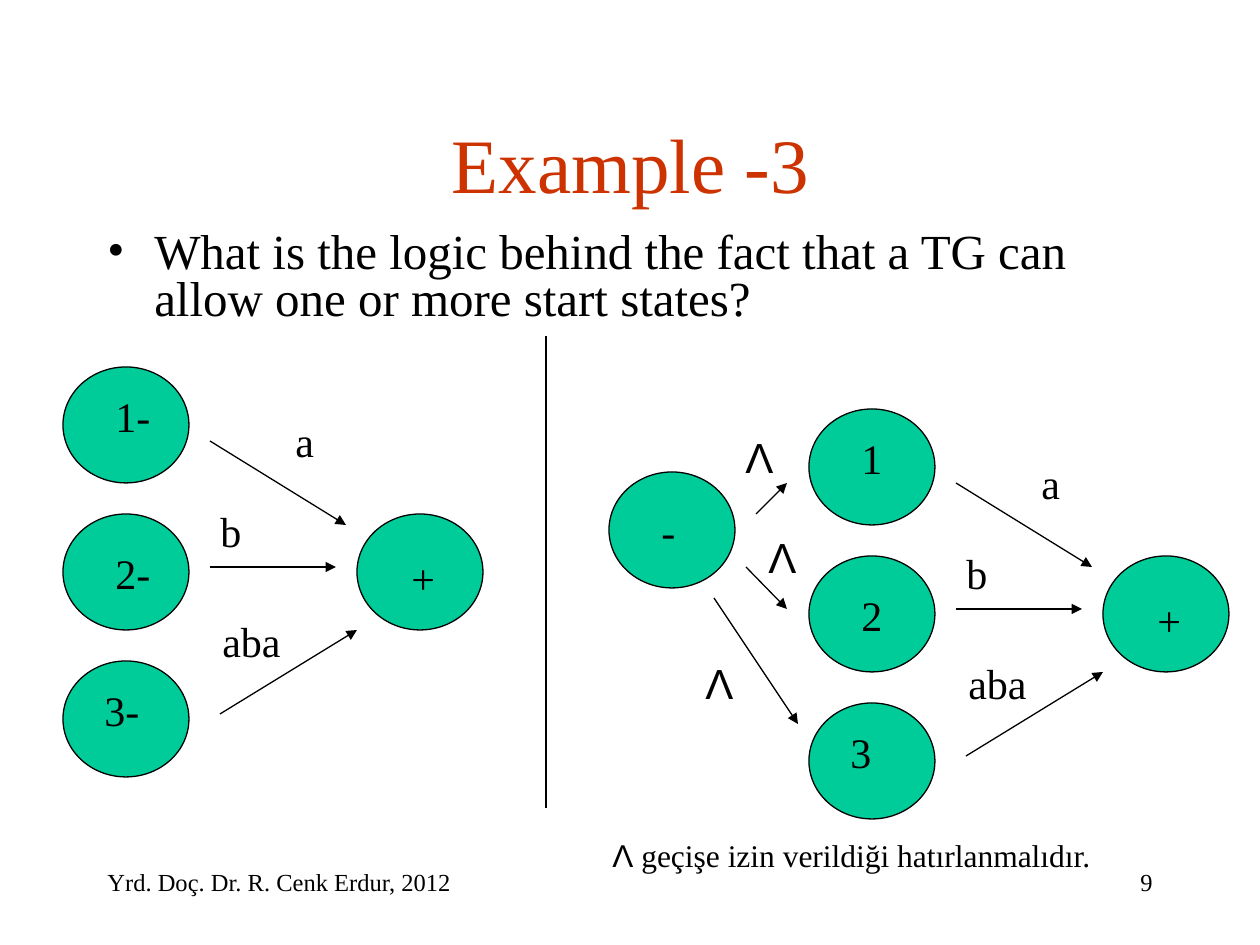
from dataclasses import dataclass

import pptx
import pptx.dml.color
import pptx.enum.shapes
import pptx.enum.text
import pptx.oxml.ns
import pptx.util
from lxml import etree

RGBColor = pptx.dml.color.RGBColor
PP_ALIGN = pptx.enum.text.PP_ALIGN

BLACK = RGBColor(0x00, 0x00, 0x00)
GREEN = RGBColor(0x00, 0xCC, 0x99)
RED = RGBColor(0xCC, 0x33, 0x00)
SERIF = "Times New Roman"
SANS = "Arial"
PX_PER_INCH = 126
STATE_W, STATE_H = 126, 116
LABEL_H = 63


@dataclass(frozen=True)
class State:
    x: int
    y: int


@dataclass(frozen=True)
class Edge:
    x1: int
    y1: int
    x2: int
    y2: int
    arrow: bool = True


@dataclass(frozen=True)
class Label:
    text: str
    x: int
    y: int
    w: int
    font: str = SERIF


def px(n: int) -> pptx.util.Emu:
    return pptx.util.Emu(round(n * 914400 / PX_PER_INCH))


def add_run(p, text: str, size: int, font: str = SERIF, color: RGBColor = BLACK) -> None:
    r = p.add_run()
    r.text = text
    r.font.size = pptx.util.Pt(size)
    r.font.name = font
    r.font.color.rgb = color


def add_text(s, x: int, y: int, w: int, h: int, wrap: bool = True):
    tf = s.shapes.add_textbox(px(x), px(y), px(w), px(h)).text_frame
    tf.word_wrap = wrap
    if not wrap:
        tf.auto_size = pptx.enum.text.MSO_AUTO_SIZE.SHAPE_TO_FIT_TEXT
    return tf.paragraphs[0]


def add_label(s, label: Label) -> None:
    p = add_text(s, label.x, label.y, label.w, LABEL_H, wrap=False)
    add_run(p, label.text, 24, label.font)


def add_state(s, state: State) -> None:
    sp = s.shapes.add_shape(pptx.enum.shapes.MSO_SHAPE.OVAL,
                            px(state.x), px(state.y), px(STATE_W), px(STATE_H))
    sp.shadow.inherit = False
    sp.fill.solid()
    sp.fill.fore_color.rgb = GREEN
    sp.line.color.rgb = BLACK
    sp.line.width = pptx.util.Pt(0.75)


def add_edge(s, edge: Edge) -> None:
    sp = s.shapes.add_connector(pptx.enum.shapes.MSO_CONNECTOR.STRAIGHT,
                                px(edge.x1), px(edge.y1), px(edge.x2), px(edge.y2))
    sp.line.color.rgb = BLACK
    sp.line.width = pptx.util.Pt(0.75)
    qn = pptx.oxml.ns.qn
    props = sp._element.spPr
    if edge.arrow:
        etree.SubElement(props.find(qn("a:ln")), qn("a:tailEnd"), type="triangle")
    etree.SubElement(props, qn("a:effectLst"))


def add_graph(s, dx: int, dy: int, suffix: str) -> None:
    for x, y in ((63, 367), (63, 514), (63, 661), (357, 514)):
        add_state(s, State(x + dx, y + dy))
    for x1, y1, x2, y2 in ((210, 441, 346, 525), (210, 567, 336, 567), (220, 714, 357, 630)):
        add_edge(s, Edge(x1 + dx, y1 + dy, x2 + dx, y2 + dy))
    state_w = 61 if suffix else 46
    for text, x, y, w in (
        ("1" + suffix, 103, 384, state_w),
        ("2" + suffix, 103, 541, state_w),
        ("3" + suffix, 92, 678, state_w),
        ("+", 399, 546, 50),
        ("a", 283, 409, 45),
        ("b", 208, 499, 46),
        ("aba", 210, 609, 87),
    ):
        add_label(s, Label(text, x + dx, y + dy, w))


def add_title(s) -> None:
    sp = s.shapes.title
    sp.left, sp.top, sp.width, sp.height = px(95), px(84), px(1071), px(158)
    tf = sp.text_frame
    tf.vertical_anchor = pptx.enum.text.MSO_ANCHOR.MIDDLE
    p = tf.paragraphs[0]
    p.alignment = PP_ALIGN.CENTER
    add_run(p, "Example -3", 44, color=RED)


def add_question(s) -> None:
    p = add_text(s, 95, 226, 1071, 116)
    p.line_spacing = 0.8
    qn = pptx.oxml.ns.qn
    props = p._p.get_or_add_pPr()
    props.set("marL", str(px(47)))
    props.set("indent", str(-px(47)))
    etree.SubElement(props, qn("a:buFont"), typeface=SERIF)
    etree.SubElement(props, qn("a:buChar"), char="•")
    add_run(p, "What is the logic behind the fact that a TG can allow "
               "one or more start states?", 28)


def main() -> None:
    prs = pptx.Presentation()
    prs.slide_width, prs.slide_height = px(1260), px(945)
    s = prs.slides.add_slide(prs.slide_layouts[5])

    add_title(s)
    add_question(s)
    add_graph(s, 0, 0, "-")
    add_graph(s, 746, 42, "")

    add_state(s, State(609, 472))
    add_label(s, Label("-", 649, 499, 40))
    for edge in (Edge(756, 514, 787, 483), Edge(746, 567, 787, 609), Edge(714, 598, 798, 724)):
        add_edge(s, edge)
    for x, y in ((733, 425), (756, 525), (693, 651)):
        add_label(s, Label("Λ", x, y, 54, SANS))
    add_edge(s, Edge(546, 336, 546, 808, arrow=False))

    p = add_text(s, 600, 830, 509, 50, wrap=False)
    add_run(p, "Λ", 18, SANS)
    add_run(p, " geçişe izin verildiği hatırlanmalıdır.", 18)

    p = add_text(s, 95, 861, 735, LABEL_H)
    add_run(p, "Yrd. Doç. Dr. R. Cenk Erdur, 2012", 14)
    p = add_text(s, 903, 861, 262, LABEL_H)
    p.alignment = PP_ALIGN.RIGHT
    add_run(p, "9", 14)

    prs.save("out.pptx")


if __name__ == "__main__":
    main()
